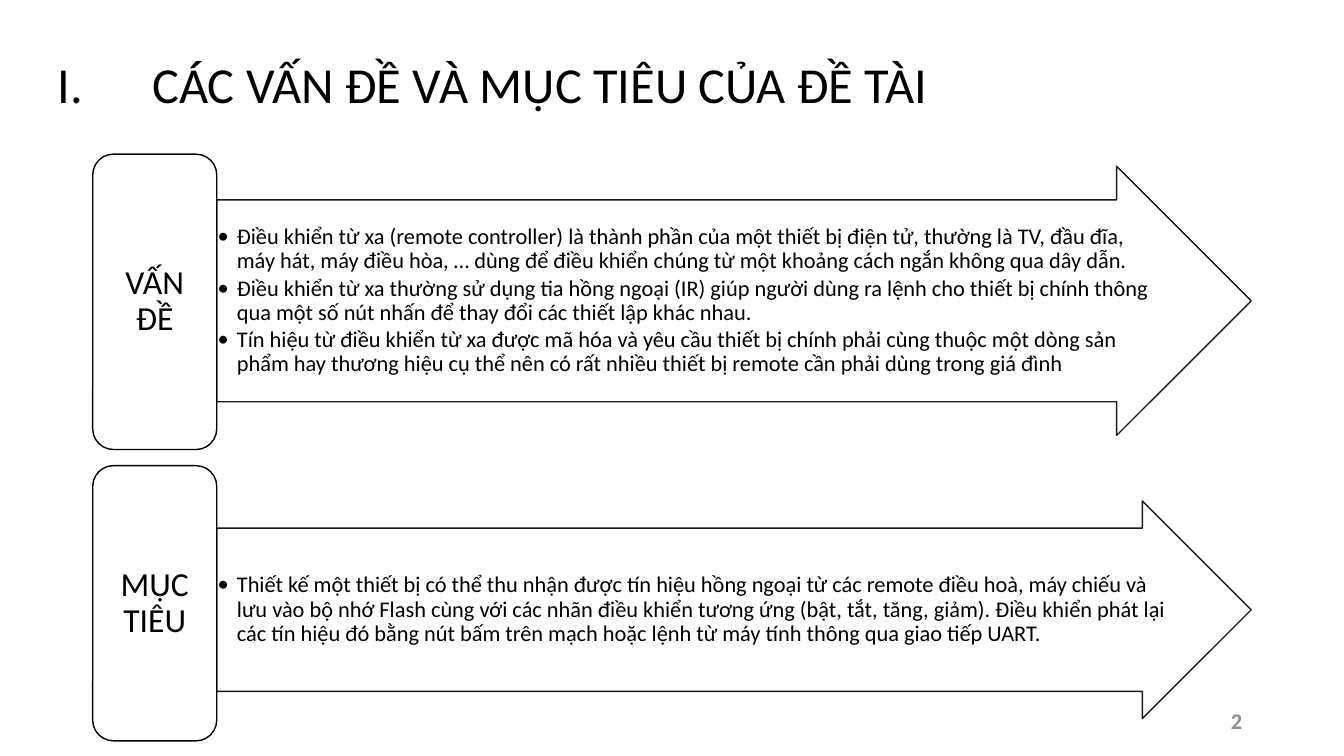
from dataclasses import dataclass

from lxml.etree import SubElement
from pptx import Presentation
from pptx.dml.color import RGBColor
from pptx.enum.shapes import MSO_SHAPE as Shape
from pptx.enum.text import MSO_ANCHOR as Anchor, MSO_AUTO_SIZE as AutoSize, PP_ALIGN as Align
from pptx.oxml.ns import qn
from pptx.util import Inches, Pt


@dataclass(frozen=True)
class Theme:
    font: str = "Calibri"
    ink: RGBColor = RGBColor(0, 0, 0)
    paper: RGBColor = RGBColor(255, 255, 255)
    muted: RGBColor = RGBColor(0x8C, 0x8C, 0x8C)
    title: int = 36
    label: int = 24
    body: int = 16
    line: int = 1


THEME = Theme()

TITLE = "CÁC VẤN ĐỀ VÀ MỤC TIÊU CỦA ĐỀ TÀI"
SECTIONS = [
    ("VẤN ĐỀ", (1.53, 2.93), (1.65, 2.67), [
        "Điều khiển từ xa (remote controller) là thành phần của một thiết bị điện tử, thường là TV, đầu đĩa, máy hát, máy điều hòa, … dùng để điều khiển chúng từ một khoảng cách ngắn không qua dây dẫn.",
        "Điều khiển từ xa thường sử dụng tia hồng ngoại (IR) giúp người dùng ra lệnh cho thiết bị chính thông qua một số nút nhấn để thay đổi các thiết lập khác nhau.",
        "Tín hiệu từ điều khiển từ xa được mã hóa và yêu cầu thiết bị chính phải cùng thuộc một dòng sản phẩm hay thương hiệu cụ thể nên có rất nhiều thiết bị remote cần phải dùng trong giá đình",
    ]),
    ("MỤC TIÊU", (4.62, 2.73), (4.97, 2.16), [
        "Thiết kế một thiết bị có thể thu nhận được tín hiệu hồng ngoại từ các remote điều hoà, máy chiếu và lưu vào bộ nhớ Flash cùng với các nhãn điều khiển tương ứng (bật, tắt, tăng, giảm). Điều khiển phát lại các tín hiệu đó bằng nút bấm trên mạch hoặc lệnh từ máy tính thông qua giao tiếp UART.",
    ]),
]


def set_attrs(obj, values):
    for name, value in values.items():
        setattr(obj, name, value)


def set_frame(tf, margins=None):
    set_attrs(tf, {"word_wrap": True, "auto_size": AutoSize.NONE,
                   "vertical_anchor": Anchor.MIDDLE})
    if margins is not None:
        for side in ("left", "top", "right", "bottom"):
            setattr(tf, f"margin_{side}", Inches(margins))


def write(p, text, size, align=Align.LEFT, color=THEME.ink, bold=False, spacing=0.9):
    set_attrs(p, {"alignment": align, "line_spacing": spacing})
    r = p.add_run()
    r.text = text
    set_attrs(r.font, {"name": THEME.font, "size": Pt(size), "bold": bold})
    r.font.color.rgb = color


def space_after(p, percent):
    spacing = SubElement(p._p.get_or_add_pPr(), qn("a:spcAft"))
    SubElement(spacing, qn("a:spcPct"), val=str(percent * 1000))


def add_bullet(p, indent, tag, **marker):
    pPr = p._p.get_or_add_pPr()
    pPr.set("marL", str(Inches(indent)))
    pPr.set("indent", str(Inches(-indent)))
    SubElement(pPr, qn("a:buFont"), typeface=THEME.font)
    SubElement(pPr, qn(tag), **marker)


def add_outlined(s, kind, left, top, width, height, opacity=100):
    sp = s.shapes.add_shape(kind, *map(Inches, (left, top, width, height)))
    sp.shadow.inherit = False
    sp.fill.solid()
    sp.fill.fore_color.rgb = THEME.paper
    sp.line.color.rgb = THEME.ink
    sp.line.width = Pt(THEME.line)
    if opacity < 100:
        for color in sp._element.spPr.iter(qn("a:srgbClr")):
            SubElement(color, qn("a:alpha"), val=str(opacity * 1000))
    return sp


def add_arrow(s, top, height, items):
    sp = add_outlined(s, Shape.RIGHT_ARROW, 2.15, top, 10.26, height, opacity=90)
    sp.adjustments[0], sp.adjustments[1] = 0.75, 0.5
    tf = sp.text_frame
    set_frame(tf, 0.01)
    for i, item in enumerate(items):
        p = tf.add_paragraph() if i else tf.paragraphs[0]
        p.level = 1
        write(p, item, THEME.body)
        space_after(p, 15)
        add_bullet(p, 0.19, "a:buChar", char="•")


def add_label(s, top, height, text):
    sp = add_outlined(s, Shape.ROUNDED_RECTANGLE, 0.92, top, 1.23, height)
    set_frame(sp.text_frame)
    p = sp.text_frame.paragraphs[0]
    write(p, text, THEME.label, Align.CENTER)
    space_after(p, 35)


def add_title(s, text):
    sp = s.shapes.title
    set_attrs(sp, {"left": Inches(0.47), "top": Inches(0.14),
                   "width": Inches(11.5), "height": Inches(1.45)})
    set_frame(sp.text_frame)
    p = sp.text_frame.paragraphs[0]
    write(p, text, THEME.title)
    add_bullet(p, 0.94, "a:buAutoNum", type="romanUcPeriod")


def add_page_number(s, number):
    sp = s.shapes.add_textbox(*map(Inches, (9.42, 6.95, 3, 0.4)))
    set_frame(sp.text_frame)
    write(sp.text_frame.paragraphs[0], number, THEME.body, Align.RIGHT,
          THEME.muted, bold=True, spacing=1.0)


def main():
    prs = Presentation()
    set_attrs(prs, {"slide_width": Inches(13.33), "slide_height": Inches(7.5)})
    s = prs.slides.add_slide(prs.slide_layouts[5])
    add_title(s, TITLE)
    for label, label_span, arrow_span, items in SECTIONS:
        add_arrow(s, *arrow_span, items)
        add_label(s, *label_span, label)
    add_page_number(s, "2")
    prs.save("out.pptx")


if __name__ == "__main__":
    main()
